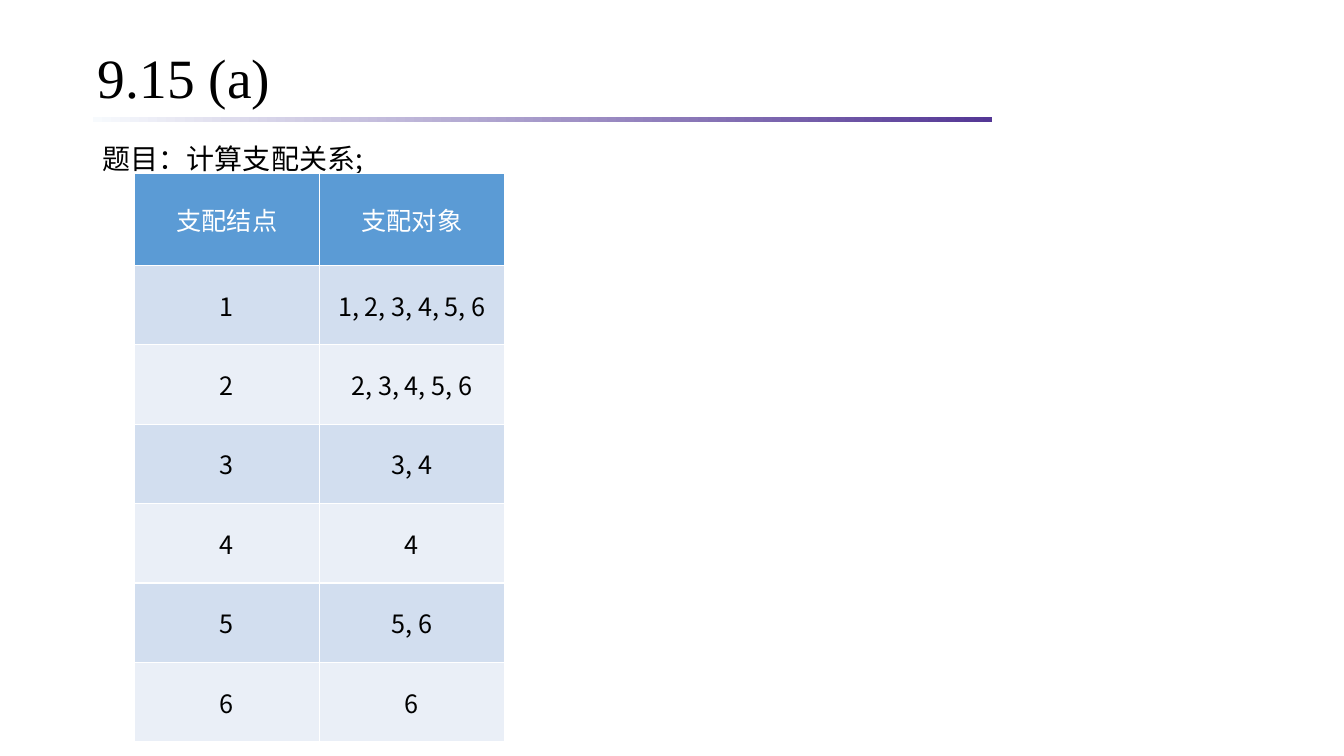
from dataclasses import dataclass

from lxml import etree
from pptx import Presentation
from pptx.dml.color import RGBColor
from pptx.enum.shapes import MSO_SHAPE
from pptx.enum.text import MSO_ANCHOR, PP_ALIGN
from pptx.oxml.ns import qn
from pptx.slide import Slide
from pptx.table import _Cell
from pptx.text.text import _Paragraph
from pptx.util import Cm, Pt

RECTANGLE = MSO_SHAPE.RECTANGLE
MIDDLE, TOP = MSO_ANCHOR.MIDDLE, MSO_ANCHOR.TOP
CENTER = PP_ALIGN.CENTER

COLORS = {
    "text": "000000",
    "white": "FFFFFF",
    "header": "5B9BD5",
    "odd_row": "D2DEEF",
    "even_row": "EAEFF7",
    "rule_start": "F7FAFD",
    "rule_end": "543795",
}
SERIF = "Times New Roman"
SANS = "Noto Sans CJK SC"

DOMINATION = [
    ("支配结点", "支配对象"),
    ("1", "1, 2, 3, 4, 5, 6"),
    ("2", "2, 3, 4, 5, 6"),
    ("3", "3, 4"),
    ("4", "4"),
    ("5", "5, 6"),
    ("6", "6"),
]
COLUMN_WIDTH = 4.66
HEADER_HEIGHT = 2.31
ROW_HEIGHT = 2.0


@dataclass
class Span:
    text: str
    size: float
    font: str = SANS
    color: str = "text"


@dataclass
class TextBlock:
    left: float
    top: float
    width: float
    height: float
    spans: list[Span]
    line_spacing: float
    anchor: MSO_ANCHOR = TOP
    side_inset: float = 0.25


TEXT_BLOCKS = [
    TextBlock(2.34, 1.09, 29.21, 1.9, [Span("9.15 (a)", 39.6, SERIF)],
              0.9, MIDDLE, 0.13),
    TextBlock(2.34, 3.02, 28.65, 1.35,
              [Span("题目：", 20, SERIF), Span("计算支配关系;", 20)], 1.5),
]


def color_of(name: str) -> RGBColor:
    return RGBColor.from_string(COLORS[name])


def add_span(para: _Paragraph, span: Span) -> None:
    run = para.add_run()
    run.text = span.text
    run.font.size = Pt(span.size)
    run.font.name = span.font
    run.font.color.rgb = color_of(span.color)
    east_asian = etree.SubElement(run.font._element, qn("a:ea"))
    east_asian.set("typeface", SANS)


def add_text_block(page: Slide, block: TextBlock) -> None:
    box = page.shapes.add_textbox(
        Cm(block.left), Cm(block.top), Cm(block.width), Cm(block.height))
    frame = box.text_frame
    frame.word_wrap = True
    frame.vertical_anchor = block.anchor
    frame.margin_left = frame.margin_right = Cm(block.side_inset)
    frame.margin_top = frame.margin_bottom = Cm(0.13)
    para = frame.paragraphs[0]
    para.line_spacing = block.line_spacing
    for span in block.spans:
        add_span(para, span)


def add_title_rule(page: Slide) -> None:
    rule = page.shapes.add_shape(
        RECTANGLE, Cm(2.34), Cm(2.95), Cm(22.66), Cm(0.13))
    rule.shadow.inherit = False
    rule.line.fill.background()
    rule.fill.gradient()
    rule.fill.gradient_angle = 0
    for stop, name in zip(rule.fill.gradient_stops, ("rule_start", "rule_end")):
        stop.color.rgb = color_of(name)


def add_borders(cell: _Cell) -> None:
    """Draw a thin white line on all four sides; call before filling the cell."""
    properties = cell._tc.get_or_add_tcPr()
    for side in ("a:lnL", "a:lnR", "a:lnT", "a:lnB"):
        line = etree.SubElement(properties, qn(side), w=str(Pt(1)))
        fill = etree.SubElement(line, qn("a:solidFill"))
        etree.SubElement(fill, qn("a:srgbClr"), val=COLORS["white"])


def fill_cell(cell: _Cell, span: Span, fill_name: str) -> None:
    add_borders(cell)
    cell.fill.solid()
    cell.fill.fore_color.rgb = color_of(fill_name)
    cell.vertical_anchor = MIDDLE
    para = cell.text_frame.paragraphs[0]
    para.alignment = CENTER
    add_span(para, span)


def add_domination_table(page: Slide) -> None:
    heights = [HEADER_HEIGHT] + [ROW_HEIGHT] * (len(DOMINATION) - 1)
    columns = len(DOMINATION[0])
    table = page.shapes.add_table(
        len(DOMINATION), columns, Cm(3.39), Cm(4.38),
        Cm(COLUMN_WIDTH * columns), Cm(sum(heights))).table
    for column in table.columns:
        column.width = Cm(COLUMN_WIDTH)
    for index, (texts, height) in enumerate(zip(DOMINATION, heights)):
        table.rows[index].height = Cm(height)
        if index == 0:
            fill_name, text_color = "header", "white"
        else:
            fill_name, text_color = "odd_row" if index % 2 else "even_row", "text"
        for cell, text in zip(table.rows[index].cells, texts):
            fill_cell(cell, Span(text, 18, color=text_color), fill_name)


def main() -> None:
    deck = Presentation()
    deck.slide_width, deck.slide_height = Cm(33.87), Cm(19.05)
    page = deck.slides.add_slide(deck.slide_layouts[6])
    add_title_rule(page)
    for block in TEXT_BLOCKS:
        add_text_block(page, block)
    add_domination_table(page)
    deck.save("out.pptx")


if __name__ == "__main__":
    main()
